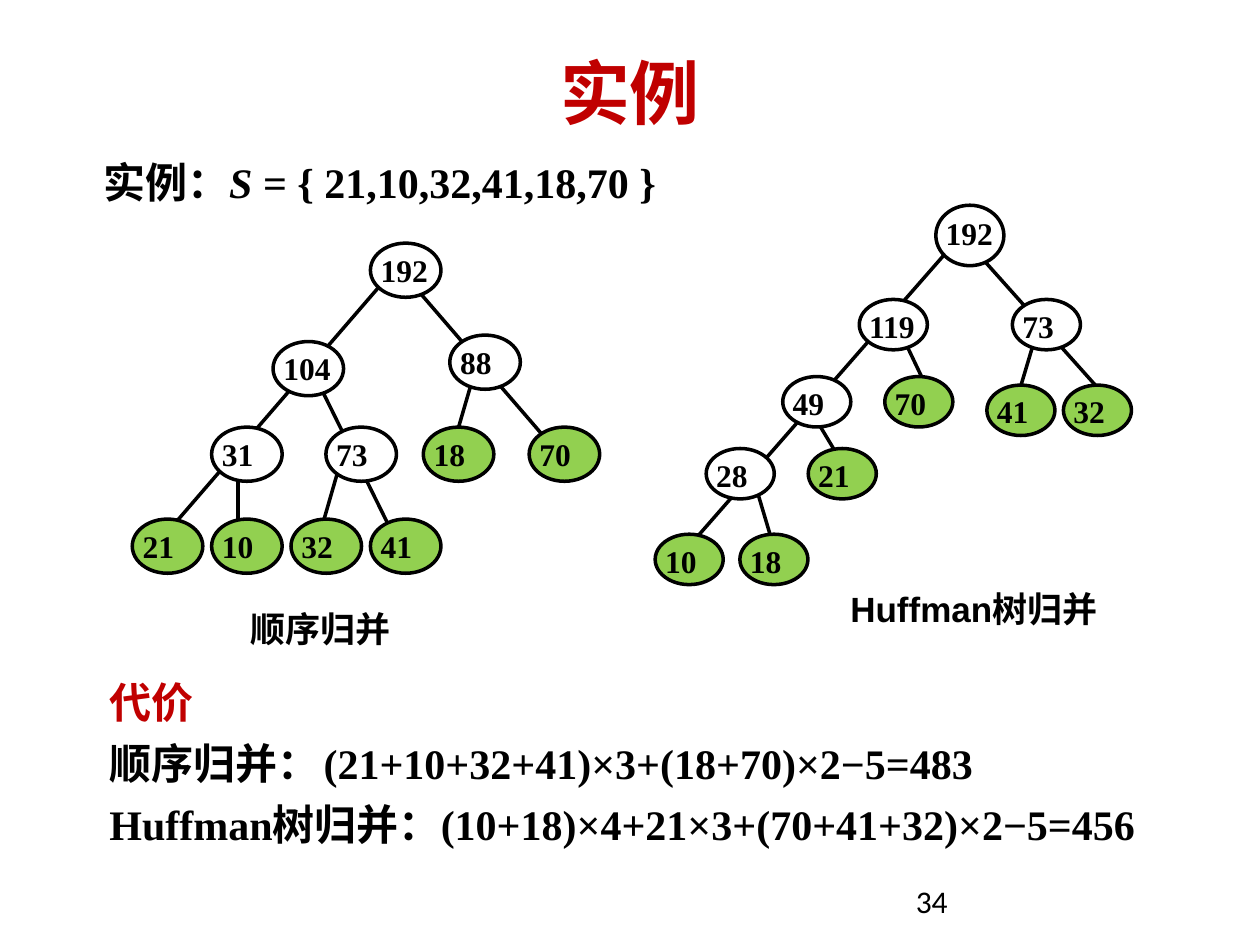
from dataclasses import dataclass

from lxml import etree
from pptx import Presentation
from pptx import util as u
from pptx.dml.color import RGBColor
from pptx.enum import shapes, text
from pptx.oxml.ns import qn

BLACK = RGBColor(0x00, 0x00, 0x00)
WHITE = RGBColor(0xFF, 0xFF, 0xFF)
RED = RGBColor(0xC0, 0x00, 0x00)
GREEN = RGBColor(0x92, 0xD0, 0x50)
SERIF, SANS, BODY = "Times New Roman", "Arial", "Calibri"


@dataclass(frozen=True)
class Node:
    label: str
    col: float
    row: float
    leaf: bool = False
    height: float | None = None


@dataclass(frozen=True)
class Edge:
    """A line between two (column, row) points of the tree's grid."""
    start: tuple[float, float]
    end: tuple[float, float]


@dataclass(frozen=True)
class Caption:
    label: str
    area: tuple[float, float, float, float]


@dataclass(frozen=True)
class Tree:
    origin: tuple[float, float]
    pitch: tuple[float, float]
    node_size: tuple[float, float]
    nodes: list[Node]
    edges: list[Edge]
    caption: Caption

    def at(self, col: float, row: float) -> tuple[int, int]:
        return (u.Inches(self.origin[0] + col * self.pitch[0]),
                u.Inches(self.origin[1] + row * self.pitch[1]))


SEQUENTIAL = Tree(
    origin=(1.05, 1.93), pitch=(0.84, 0.73), node_size=(0.56, 0.43),
    nodes=[
        Node("192", 2.25, 0),
        Node("104", 1.33, 1.07), Node("88", 3, 1),
        Node("31", 0.75, 2), Node("73", 1.83, 2),
        Node("18", 2.75, 2, True), Node("70", 3.75, 2, True),
        Node("21", 0, 3, True), Node("10", 0.75, 3, True),
        Node("32", 1.5, 3, True), Node("41", 2.25, 3, True),
    ],
    edges=[
        Edge((2.5, 0.25), (0.25, 3.25)), Edge((2.5, 0.25), (4, 2.25)),
        Edge((3.25, 1.34), (3, 2.33)), Edge((1.75, 1.5), (2.5, 3.25)),
        Edge((1, 2.5), (1, 3.25)), Edge((2, 2.25), (1.75, 3.25)),
    ],
    caption=Caption("顺序归并", (1.89, 4.77, 2.61, 0.55)),
)
HUFFMAN = Tree(
    origin=(5.2, 1.52), pitch=(0.81, 0.68), node_size=(0.54, 0.4),
    nodes=[
        Node("192", 2.75, 0.16, height=0.48),
        Node("119", 2, 1.26), Node("73", 3.5, 1.26),
        Node("49", 1.25, 2.16), Node("70", 2.25, 2.16, True),
        Node("41", 3.25, 2.26, True), Node("32", 4, 2.26, True),
        Node("28", 0.5, 3), Node("21", 1.5, 3, True),
        Node("10", 0, 4, True), Node("18", 0.83, 4, True),
    ],
    edges=[
        Edge((3, 0.51), (0.25, 4.25)), Edge((3, 0.51), (4.5, 2.51)),
        Edge((3.75, 1.6), (3.5, 2.6)), Edge((2.25, 1.26), (2.75, 2.51)),
        Edge((1.5, 2.51), (2, 3.5)), Edge((1, 3.5), (1.25, 4.5)),
    ],
    caption=Caption("Huffman树归并", (6.65, 4.61, 2.73, 0.51)),
)


def style(span, size: float, font: str, color: RGBColor, bold: bool = True) -> None:
    span.font.size = u.Pt(size)
    span.font.name = font
    span.font.bold = bold
    span.font.color.rgb = color


def draw_edge(group, tree: Tree, edge: Edge) -> None:
    line = group.shapes.add_connector(
        shapes.MSO_CONNECTOR.STRAIGHT, *tree.at(*edge.start), *tree.at(*edge.end))
    line.line.color.rgb = BLACK
    line.line.width = u.Pt(2)
    etree.SubElement(line._element.spPr, qn("a:effectLst"))


def draw_label(group, kind, area, label: str, fill: RGBColor, outline: RGBColor,
               width: float, size: float, font: str):
    shape = group.shapes.add_shape(kind, *area)
    shape.shadow.inherit = False
    shape.fill.solid()
    shape.fill.fore_color.rgb = fill
    shape.line.color.rgb = outline
    shape.line.width = u.Pt(width)
    frame = shape.text_frame
    frame.text = label
    frame.vertical_anchor = text.MSO_ANCHOR.TOP
    para = frame.paragraphs[0]
    para.alignment = text.PP_ALIGN.JUSTIFY
    style(para.runs[0], size, font, BLACK)
    return shape


def draw_node(group, tree: Tree, node: Node) -> None:
    width, height = tree.node_size
    area = (*tree.at(node.col, node.row), u.Inches(width), u.Inches(node.height or height))
    frame = draw_label(group, shapes.MSO_SHAPE.OVAL, area, node.label,
                       GREEN if node.leaf else WHITE, BLACK, 2, 18, SERIF).text_frame
    frame.margin_left = frame.margin_top = frame.margin_right = frame.margin_bottom = 0


def draw_tree(page, tree: Tree) -> None:
    group = page.shapes.add_group_shape()
    for edge in tree.edges:
        draw_edge(group, tree, edge)
    for node in tree.nodes:
        draw_node(group, tree, node)
    draw_label(group, shapes.MSO_SHAPE.RECTANGLE, map(u.Inches, tree.caption.area),
               tree.caption.label, WHITE, WHITE, 0.75, 20, SANS)


def add_text(page, area: tuple[float, float, float, float], content: str,
             size: float, font: str, color: RGBColor, bold: bool = True):
    frame = page.shapes.add_textbox(*map(u.Inches, area)).text_frame
    frame.word_wrap = True
    frame.text = content
    for para in frame.paragraphs:
        for span in para.runs:
            style(span, size, font, color, bold)
    return frame


def add_costs(page) -> None:
    costs = add_text(page, (0.47, 5.31, 9.53, 1.48),
                     "代价\n"
                     "顺序归并：\t(21+10+32+41)×3+(18+70)×2−5=483\n"
                     "Huffman树归并：(10+18)×4+21×3+(70+41+32)×2−5=456",
                     24, SERIF, BLACK)
    costs.vertical_anchor = text.MSO_ANCHOR.MIDDLE
    for para in costs.paragraphs:
        para.space_before = u.Pt(6)
        para._p.get_or_add_pPr().set("indent", str(u.Inches(0.3)))
    heading, sequential, _ = costs.paragraphs
    heading.space_before = u.Pt(12)
    heading.runs[0].font.color.rgb = RED
    stops = etree.SubElement(sequential._p.get_or_add_pPr(), qn("a:tabLst"))
    etree.SubElement(stops, qn("a:tab"), pos=str(u.Inches(2.19)), algn="l")


def main() -> None:
    deck = Presentation()
    deck.slide_width, deck.slide_height = u.Inches(10), u.Inches(7.5)
    page = deck.slides.add_slide(deck.slide_layouts[6])

    add_text(page, (7.17, 6.95, 2.33, 0.4), "34", 18, BODY, BLACK, bold=False)
    title = add_text(page, (0.5, 0.3, 9, 0.85), "实例", 40, BODY, RED)
    title.vertical_anchor = text.MSO_ANCHOR.MIDDLE
    title.paragraphs[0].alignment = text.PP_ALIGN.CENTER

    for tree in (SEQUENTIAL, HUFFMAN):
        draw_tree(page, tree)
    add_costs(page)

    intro = add_text(page, (0.72, 1.19, 8.05, 0.51), "实例：", 24, SERIF, BLACK)
    for content, italic in (("S ", True), ("= { 21,10,32,41,18,70 }", False)):
        span = intro.paragraphs[0].add_run()
        span.text = content
        style(span, 24, SERIF, BLACK)
        span.font.italic = italic

    deck.save("out.pptx")


if __name__ == "__main__":
    main()
